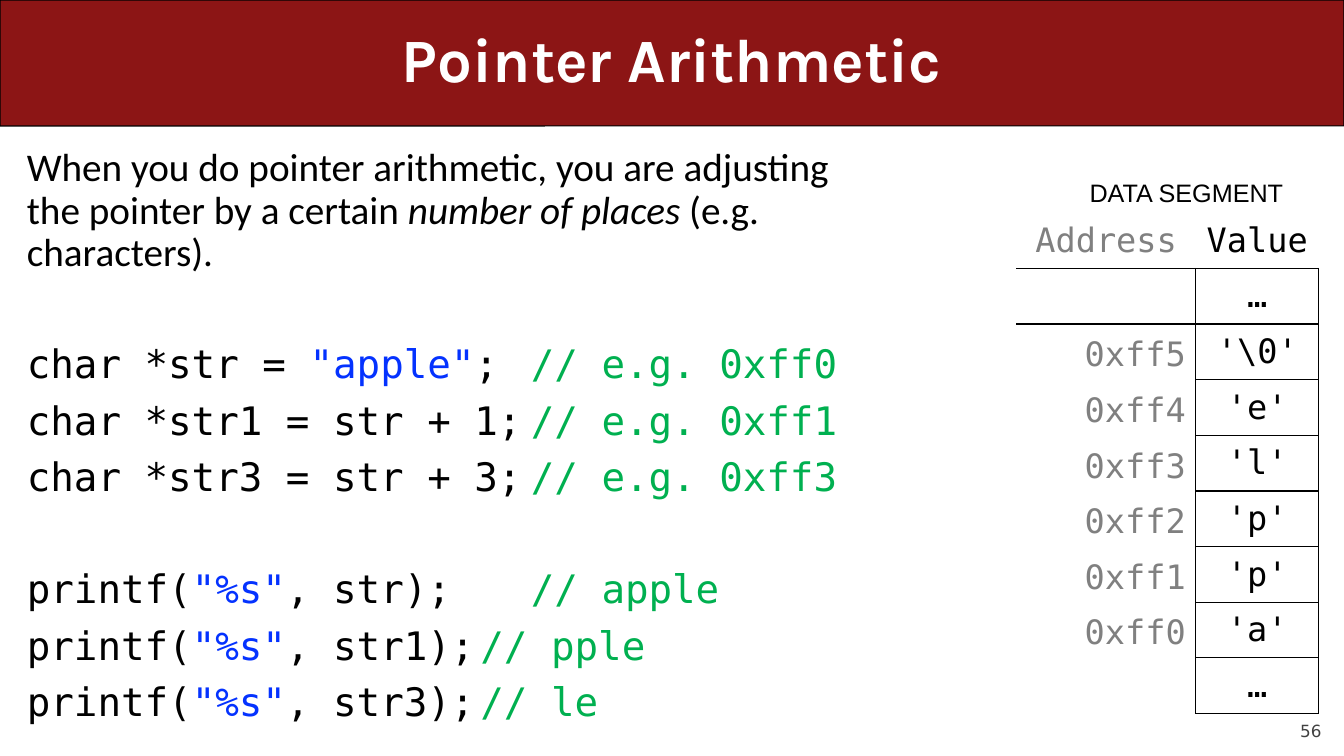
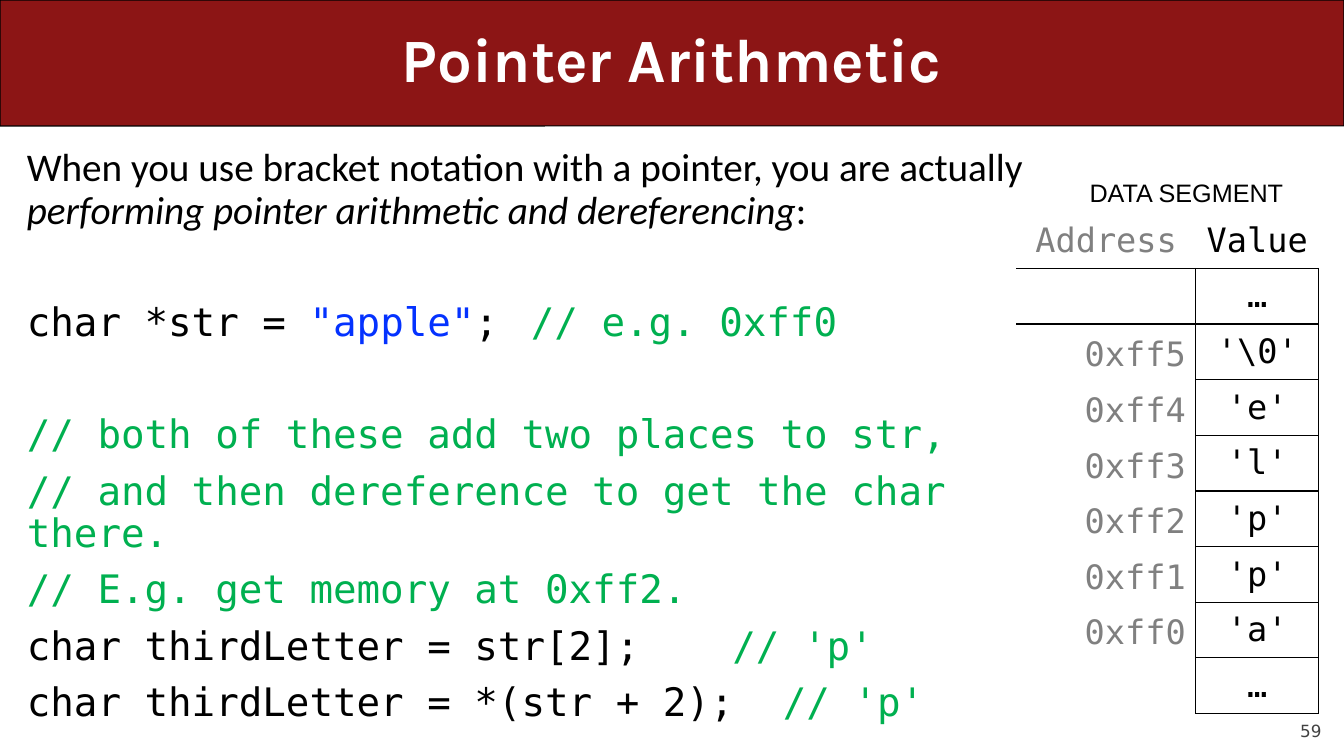
import dataclasses

import pptx
import pptx.dml.color
import pptx.enum.shapes
import pptx.enum.text
import pptx.oxml
import pptx.oxml.ns
import pptx.util

Pt = pptx.util.Pt
Align = pptx.enum.text.PP_ALIGN
Anchor = pptx.enum.text.MSO_ANCHOR
qn = pptx.oxml.ns.qn
DRAWING = pptx.oxml.ns.nsdecls("a")


@dataclasses.dataclass(frozen=True)
class Theme:
    """Colours, fonts and type sizes of the deck."""
    black: str = "000000"
    white: str = "FFFFFF"
    band: str = "8C1515"
    string: str = "0432FF"
    comment: str = "00B050"
    address: str = "808080"
    number: str = "424242"
    title_font: str = "Karla"
    text_font: str = "Calibri"
    code_font: str = "DejaVu Sans Mono"
    label_font: str = "Arial"
    number_font: str = "DejaVu Sans"
    title_size: float = 44
    body_size: float = 28
    table_size: float = 24
    label_size: float = 18
    number_size: float = 12


theme = Theme()


def style(font, name, size, color, bold=False, italic=False):
    """Set the typeface, size, colour and emphasis of a font."""
    font.name, font.size, font.bold, font.italic = name, Pt(size), bold, italic
    font.color.rgb = pptx.dml.color.RGBColor.from_string(color)


def place(shape, left, top, width, height):
    """Move and size a shape, in points."""
    shape.left, shape.top = Pt(left), Pt(top)
    shape.width, shape.height = Pt(width), Pt(height)


span_styles = {
    "text": (theme.text_font, theme.black),
    "italic": (theme.text_font, theme.black),
    "code": (theme.code_font, theme.black),
    "string": (theme.code_font, theme.string),
    "comment": (theme.code_font, theme.comment),
}
line_spacing = 0.9
paragraph_gap, block_gap = 10, 50
declaration = [("char *str = ", "code"), ('"apple"', "string"), (";\t", "code"),
               ("// e.g. 0xff0", "comment")]

# Each slide: number, body size, and blocks of paragraphs made of spans
slides = [
    (56, (606, 438), [
        [[("When you do pointer arithmetic, you are adjusting the pointer "
           "by a certain ", "text"),
          ("number of places", "italic"), (" (e.g. characters).", "text")]],
        [declaration] + [
            [(f"char *str{step} = str + {step};\t", "code"),
             (f"// e.g. 0xff{step}", "comment")] for step in (1, 3)],
        [[("printf(", "code"), ('"%s"', "string"), (call, "code"),
          (result, "comment")]
         for call, result in [(", str);\t\t", "// apple"),
                              (", str1);\t", "// pple"),
                              (", str3);\t", "// le")]],
    ]),
    (59, (726, 408), [
        [[("When you use bracket notation with a pointer, you are actually ",
           "text"),
          ("performing pointer arithmetic and dereferencing", "italic"),
          (":", "text")]],
        [declaration],
        [[(remark, "comment")]
         for remark in ("// both of these add two places to str,",
                        "// and then dereference to get the char there.",
                        "// E.g. get memory at 0xff2.")]
        + [[(statement, "code"), ("// 'p'", "comment")]
           for statement in ("char thirdLetter = str[2];\t\t",
                             "char thirdLetter = *(str + 2);\t")],
    ]),
]
memory = [("Address", "Value"), ("", "…"), ("0xff5", "'\\0'"), ("0xff4", "'e'"),
          ("0xff3", "'l'"), ("0xff2", "'p'"), ("0xff1", "'p'"),
          ("0xff0", "'a'"), ("", "…")]
column_widths = (128.2, 87.8)
row_height = 39.75
plain_table_style = "{2D5ABB26-0587-4C30-8999-92F81FD0307C}"

deck = pptx.Presentation()
deck.slide_width, deck.slide_height = Pt(960), Pt(540)
layout = deck.slide_layouts[1]
place(layout.placeholders[0], 36, 0, 888, 90)

for number, body_size, blocks in slides:
    page = deck.slides.add_slide(layout)

    if number == slides[0][0]:
        band = page.shapes.add_shape(
            pptx.enum.shapes.MSO_SHAPE.ROUNDED_RECTANGLE, 0, 0, Pt(960), Pt(90))
        band.adjustments[0] = 0.001
        band.shadow.inherit = False
        band.fill.solid()
        band.fill.fore_color.rgb = pptx.dml.color.RGBColor.from_string(theme.band)
        band.line.color.rgb = pptx.dml.color.RGBColor.from_string(theme.black)
        band.line.width = Pt(0.75)
        # The layout holds the band, behind its placeholders
        layout.shapes.element.insert(2, band.element)

    title = page.shapes.title
    title.text_frame.text = "Pointer Arithmetic"
    title.text_frame.auto_size = pptx.enum.text.MSO_AUTO_SIZE.NONE
    title.text_frame.vertical_anchor = Anchor.MIDDLE
    heading = title.text_frame.paragraphs[0]
    heading.alignment, heading.line_spacing = Align.CENTER, line_spacing
    style(heading.runs[0].font, theme.title_font, theme.title_size,
          theme.white, bold=True)

    body = page.placeholders[1]
    place(body, 12, 102, *body_size)
    frame = body.text_frame
    frame.auto_size = pptx.enum.text.MSO_AUTO_SIZE.NONE
    frame.vertical_anchor = Anchor.TOP
    para = frame.paragraphs[0]
    for block_index, block in enumerate(blocks):
        for line_index, spans in enumerate(block):
            if block_index or line_index:
                para = frame.add_paragraph()
            starts_block = block_index > 0 and line_index == 0
            para.space_before = Pt(block_gap if starts_block else paragraph_gap)
            para.line_spacing = line_spacing
            para.alignment = Align.LEFT
            properties = para._p.get_or_add_pPr()
            properties.set("marL", "0")
            properties.set("indent", "0")
            properties.append(pptx.oxml.parse_xml(f"<a:buNone {DRAWING}/>"))
            stops = "".join(f'<a:tab pos="{Pt(72 * inch)}" algn="l"/>'
                            for inch in range(1, 9))
            properties.append(pptx.oxml.parse_xml(
                f"<a:tabLst {DRAWING}>{stops}</a:tabLst>"))
            for words, kind in spans:
                span = para.add_run()
                span.text = words
                font_name, color = span_styles[kind]
                style(span.font, font_name, theme.body_size, color,
                      italic=kind == "italic")

    table_frame = page.shapes.add_table(
        len(memory), 2, Pt(726), Pt(152), Pt(sum(column_widths)),
        Pt(row_height * len(memory)))
    table = table_frame.table
    table.first_row = table.horz_banding = False
    for style_id in table_frame.element.iter(qn("a:tableStyleId")):
        style_id.text = plain_table_style
    for column, width in zip(table.columns, column_widths):
        column.width = Pt(width)
    for row_index, values in enumerate(memory):
        table.rows[row_index].height = Pt(row_height)
        for column_index, value in enumerate(values):
            cell = table.cell(row_index, column_index)
            cell.fill.background()
            is_header, is_address = row_index == 0, column_index == 0
            if is_header:
                sides = "B"
            elif is_address:
                sides = "RT" if row_index == 1 else "R"
            else:
                sides = "LRTB"
            cell_properties = cell._tc.get_or_add_tcPr()
            for position, side in enumerate(sides):
                cell_properties.insert(position, pptx.oxml.parse_xml(
                    f'<a:ln{side} {DRAWING} w="{Pt(1)}"><a:solidFill>'
                    f'<a:srgbClr val="{theme.black}"/></a:solidFill></a:ln{side}>'))
            if not value:
                continue
            cell.text_frame.text = value
            bottom_right = is_address and not is_header
            cell.vertical_anchor = Anchor.BOTTOM if bottom_right else Anchor.MIDDLE
            para = cell.text_frame.paragraphs[0]
            para.alignment = Align.RIGHT if bottom_right else Align.CENTER
            style(para.runs[0].font, theme.code_font, theme.table_size,
                  theme.address if is_address else theme.black)

    segment_label = page.shapes.add_textbox(Pt(769.7), Pt(123), Pt(154), Pt(29))
    segment_label.text_frame.text = "DATA SEGMENT"
    segment_label.text_frame.word_wrap = False
    para = segment_label.text_frame.paragraphs[0]
    para.alignment = Align.RIGHT
    style(para.runs[0].font, theme.label_font, theme.label_size, theme.black)

    page_number = page.shapes.add_textbox(Pt(864), Pt(500.4), Pt(80), Pt(28.8))
    frame = page_number.text_frame
    frame.text = str(number)
    frame.word_wrap = True
    frame.vertical_anchor = Anchor.BOTTOM
    frame.margin_left = frame.margin_right = 0
    frame.margin_top = frame.margin_bottom = 0
    para = frame.paragraphs[0]
    para.alignment, para.space_before = Align.RIGHT, Pt(5)
    style(para.runs[0].font, theme.number_font, theme.number_size, theme.number)

deck.save("out.pptx")
